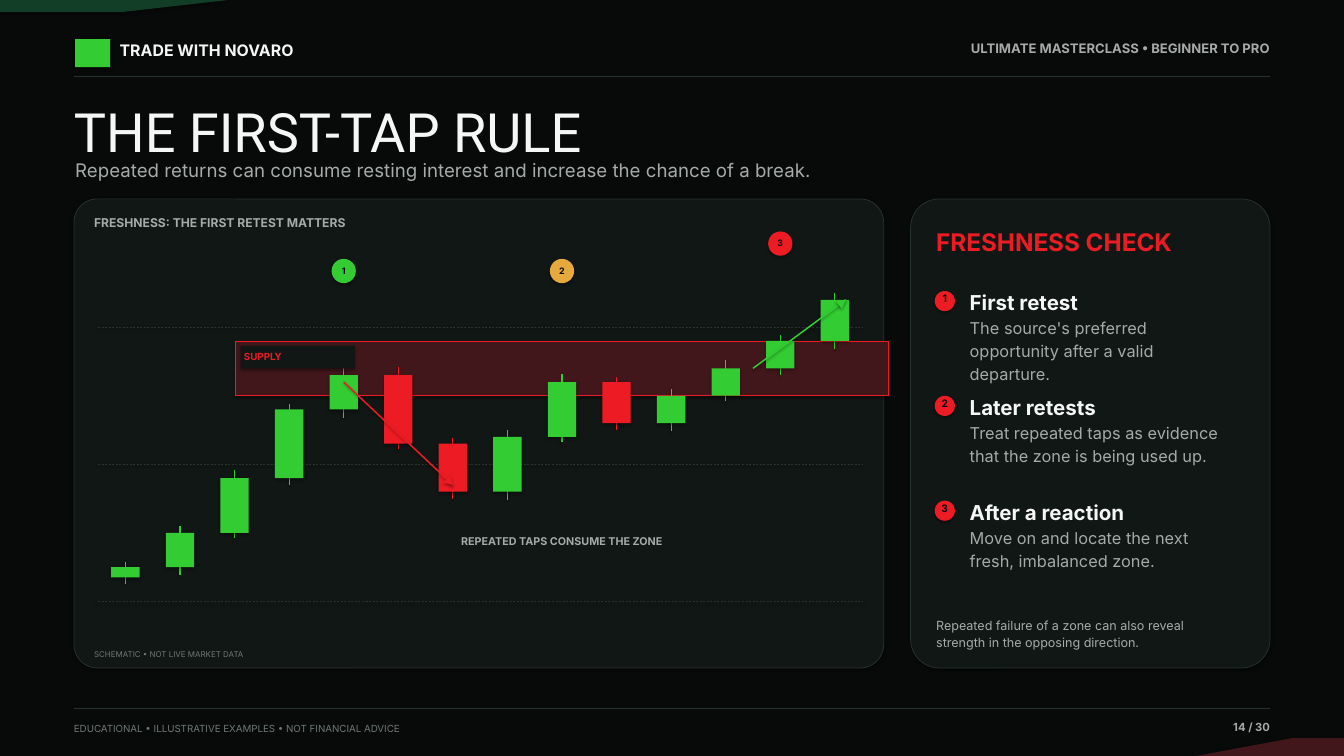
from math import hypot

from pptx import Presentation, util as u
from pptx.dml.color import RGBColor
from pptx.enum import dml, shapes, text

INK, PANEL, RULE = "070A09", "111715", "28332E"
GREEN, RED, AMBER, DARK_GREEN, DARK_RED = "33CC33", "ED1C24", "E6A93D", "123D26", "42171B"
WHITE, GREY, DIM = "F5F7F6", "A6AAA8", "6F7873"

LEFT, RIGHT = 79.2, 1360.8
FIRST_CANDLE, CANDLE_PITCH, CANDLE_WIDTH = 134.4, 58.47, 30.4
PRICE_ZERO, PRICE_UNIT = 644.4, 14.69
ALIGN = text.PP_ALIGN

CANDLES = [  # open, close, low, high
    (1.75, 2.5, 1.3, 2.9), (2.5, 5, 1.9, 5.5), (5, 9, 4.6, 9.6), (9, 14, 8.5, 14.4),
    (14, 16.5, 13.4, 17), (16.5, 11.5, 11.1, 17.1), (11.5, 8, 7.5, 11.9),
    (8, 12, 7.4, 12.5), (12, 16, 11.6, 16.6), (16, 13, 12.5, 16.4),
    (13, 15, 12.4, 15.5), (15, 17, 14.6, 17.6), (17, 19, 16.5, 19.4),
    (19, 22, 18.4, 22.5),
]
TAPS = [(4, 24.1, GREEN), (8, 24.1, AMBER), (12, 26.1, RED)]  # candle, price, colour
CHECKS = [
    ("First retest", "The source's preferred\nopportunity after a valid\ndeparture."),
    ("Later retests", "Treat repeated taps as evidence\nthat the zone is being used up."),
    ("After a reaction", "Move on and locate the next\nfresh, imbalanced zone."),
]


def rgb(value):
    return RGBColor.from_string(value)


def pts(*lengths):
    return [u.Pt(length) for length in lengths]


def candle_x(index):
    return FIRST_CANDLE + index * CANDLE_PITCH


def price_y(price):
    return PRICE_ZERO - price * PRICE_UNIT


def paint(shape, fill, line=None, width=0.8):
    shape.fill.solid()
    shape.fill.fore_color.rgb = rgb(fill)
    if line:
        shape.line.color.rgb = rgb(line)
        shape.line.width = u.Pt(width)
    else:
        shape.line.fill.background()


def add_block(slide, kind, box, fill, line=None, width=0.8):
    """Preset shape; the theme's soft shadow is kept on purpose."""
    block = slide.shapes.add_shape(kind, *pts(*box))
    paint(block, fill, line, width)
    return block


def add_panel(slide, box, rounding):
    panel = add_block(slide, shapes.MSO_SHAPE.ROUNDED_RECTANGLE, box, PANEL, RULE)
    panel.adjustments[0] = rounding


def add_polygon(slide, corners, fill):
    corners = [pts(*corner) for corner in corners]
    builder = slide.shapes.build_freeform(*corners[0])
    builder.add_line_segments(corners[1:], close=True)
    paint(builder.convert_to_shape(), fill)


def add_line(slide, start, end, color, width, dashed=False):
    line = slide.shapes.add_connector(shapes.MSO_CONNECTOR.STRAIGHT, *pts(*start, *end)).line
    line.color.rgb = rgb(color)
    line.width = u.Pt(width)
    if dashed:
        line.dash_style = dml.MSO_LINE.DASH


def write(holder, content, size, color, bold=False, align=ALIGN.LEFT,
          font="Inter", spacing=1.18):
    """Fill a text box or placeholder, one paragraph for each line."""
    frame = holder.text_frame
    frame.margin_left = frame.margin_top = frame.margin_right = frame.margin_bottom = 0
    frame.word_wrap = True
    frame.auto_size = text.MSO_AUTO_SIZE.NONE
    frame.vertical_anchor = text.MSO_ANCHOR.TOP
    for number, line in enumerate(content.split("\n")):
        paragraph = frame.add_paragraph() if number else frame.paragraphs[0]
        paragraph.alignment = align
        paragraph.line_spacing = spacing
        paragraph.space_before = u.Pt(0)
        run = paragraph.add_run()
        run.text = line
        run.font.name = font
        run.font.size = u.Pt(size)
        run.font.bold = bold
        run.font.color.rgb = rgb(color)


def add_label(slide, box, content, size, color, **style):
    write(slide.shapes.add_textbox(*pts(*box)), content, size, color, **style)


def place(holder, box):
    holder.left, holder.top, holder.width, holder.height = pts(*box)


def add_badge(slide, center, top, diameter, number, size, fill, drop):
    """Numbered disc; drop is the distance from its top to the digit's box."""
    left = center - diameter / 2
    add_block(slide, shapes.MSO_SHAPE.OVAL, (left, top, diameter, diameter), fill)
    add_label(slide, (left, top + drop, diameter, size * 1.3), str(number), size, INK,
              bold=True, align=ALIGN.CENTER)


def add_candle(slide, index, opening, close, low, high):
    color = GREEN if close > opening else RED
    x, top = candle_x(index), price_y(max(opening, close))
    add_line(slide, (x, price_y(high)), (x, price_y(low)), color, 1.15)
    add_block(slide, shapes.MSO_SHAPE.RECTANGLE,
              (x - CANDLE_WIDTH / 2, top, CANDLE_WIDTH, abs(close - opening) * PRICE_UNIT), color)


def add_move(slide, start, end, color):
    """Arrow between two (candle, price) positions, with a solid head."""
    (x1, y1), (x2, y2) = [(candle_x(i), price_y(price)) for i, price in (start, end)]
    add_line(slide, (x1, y1), (x2, y2), color, 1.6)
    length = hypot(x2 - x1, y2 - y1)
    dx, dy = (x2 - x1) / length, (y2 - y1) / length
    wings = [(x2 - 9.2 * dx + side * dy, y2 - 9.2 * dy - side * dx) for side in (5.5, -5.5)]
    add_polygon(slide, [(x2, y2), *wings], color)


def add_frame(slide):
    add_polygon(slide, [(0, 0), (244.8, 0), (129.6, 13), (0, 13)], DARK_GREEN)
    add_polygon(slide, [(1440, 810), (1281.6, 810), (1386, 790.6), (1440, 790.6)], DARK_RED)
    add_block(slide, shapes.MSO_SHAPE.RECTANGLE, (80.6, 42, 37.4, 30), GREEN)
    add_label(slide, (128.2, 40.3, 280.8, 24.5), "TRADE WITH NOVARO", 17, WHITE, bold=True)
    add_label(slide, (1008, 40.3, 352.8, 23), "ULTIMATE MASTERCLASS • BEGINNER TO PRO", 14, GREY,
              bold=True, align=ALIGN.RIGHT)
    for y in (81.4, 758.9):
        add_line(slide, (LEFT, y), (RIGHT, y), RULE, 0.8)
    add_label(slide, (LEFT, 771.8, 576, 18),
              "EDUCATIONAL • ILLUSTRATIVE EXAMPLES • NOT FINANCIAL ADVICE", 10.5, DIM)
    add_label(slide, (1238.4, 769, 122.4, 20.2), "14 / 30", 12, GREY,
              bold=True, align=ALIGN.RIGHT)


def add_headings(slide):
    title, subtitle = slide.placeholders
    place(title, (LEFT, 105.1, 1281.6, 63.4))
    write(title, "THE FIRST-TAP RULE", 58, WHITE, font="Roboto", spacing=1)
    place(subtitle, (80.6, 165.6, 1238.4, 31))
    write(subtitle, "Repeated returns can consume resting interest and increase "
          "the chance of a break.", 20, GREY)


def add_price_schematic(slide):
    rectangle = shapes.MSO_SHAPE.RECTANGLE
    add_panel(slide, (LEFT, 213.1, 867.6, 502.6), 0.05)
    add_label(slide, (100.8, 227.5, 824.4, 20.2), "FRESHNESS: THE FIRST RETEST MATTERS", 13, GREY,
              bold=True)
    for price in (0, 10, 20):
        add_line(slide, (105.1, price_y(price)), (923.8, price_y(price)), RULE, 0.55, dashed=True)
    add_label(slide, (100.8, 694.1, 824.4, 13), "SCHEMATIC • NOT LIVE MARKET DATA", 8.5, DIM)

    zone_top = price_y(19)
    add_block(slide, rectangle, (252.7, zone_top, 699.1, 4 * PRICE_UNIT), DARK_RED, RED, 0.9)
    for index, candle in enumerate(CANDLES):
        add_candle(slide, index, *candle)
    add_block(slide, rectangle, (257.8, zone_top + 5, 122.4, 24.5), PANEL)
    add_label(slide, (261.4, zone_top + 8.6, 115.2, 18), "SUPPLY", 10.5, RED, bold=True)

    for number, (index, price, color) in enumerate(TAPS, 1):
        add_badge(slide, candle_x(index), price_y(price) - 13, 26, number, 9.5, color, 5)
    add_move(slide, (4, 16), (6, 8.5), RED)
    add_label(slide, (436.3, 571, 331.2, 21.6), "REPEATED TAPS CONSUME THE ZONE", 11.5, GREY,
              bold=True, align=ALIGN.CENTER)
    add_move(slide, (11.5, 17), (13.2, 22), GREEN)


def add_checklist(slide):
    add_panel(slide, (975.6, 213.1, 385.2, 502.6), 0.08)
    add_label(slide, (1003, 237.6, 331.2, 49), "FRESHNESS CHECK", 26, RED, bold=True)
    for row, (heading, advice) in enumerate(CHECKS):
        top = 306 + row * 112.3
        add_badge(slide, 1012.3, top + 5.8, 21.6, row + 1, 11, RED, -0.9)
        add_label(slide, (1039, top, 290.2, 26), heading, 22, WHITE, bold=True)
        add_label(slide, (1039, top + 31, 290.2, 77.8), advice, 17.5, GREY)
    add_label(slide, (1003, 658.8, 325.4, 34.6), "Repeated failure of a zone can also reveal\n"
              "strength in the opposing direction.", 13.5, GREY)


def main():
    deck = Presentation()
    deck.slide_width, deck.slide_height = pts(1440, 810)
    slide = deck.slides.add_slide(deck.slide_layouts[0])
    slide.background.fill.solid()
    slide.background.fill.fore_color.rgb = rgb(INK)
    add_headings(slide)
    add_frame(slide)
    add_price_schematic(slide)
    add_checklist(slide)
    deck.save("out.pptx")


if __name__ == "__main__":
    main()
